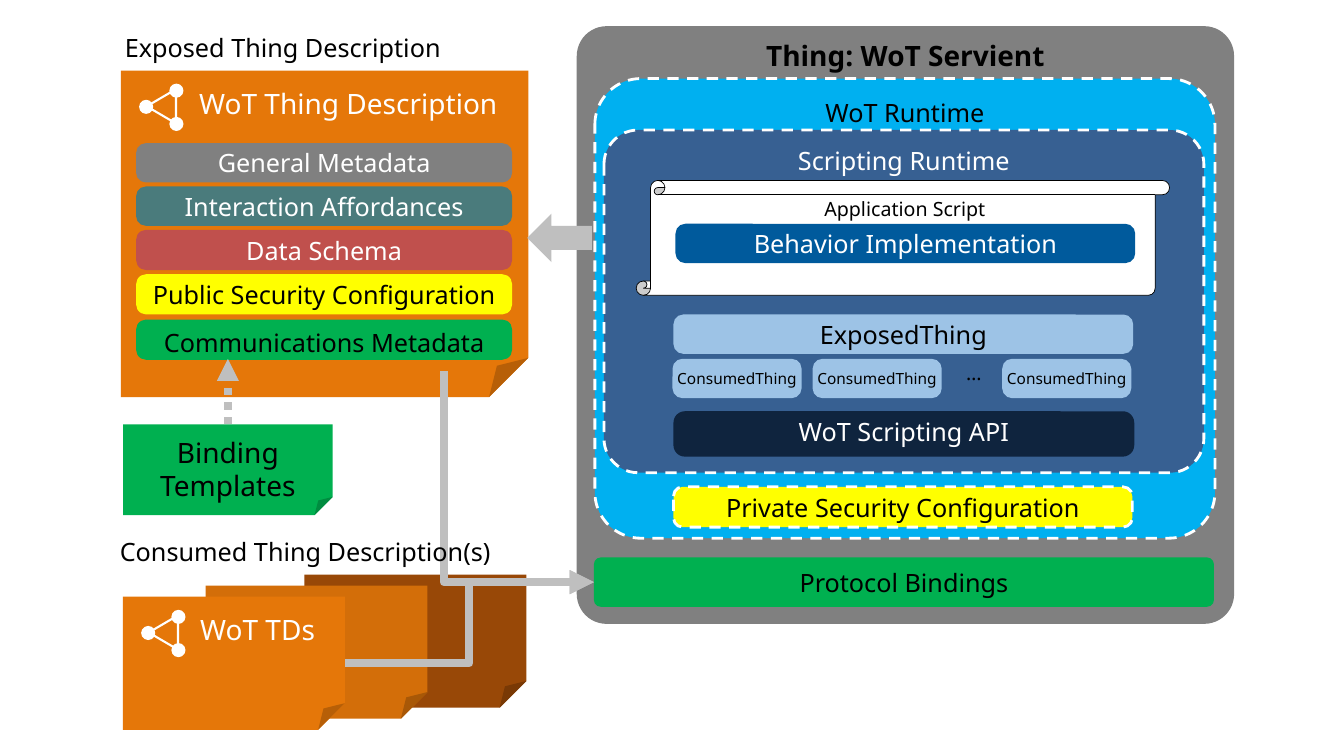
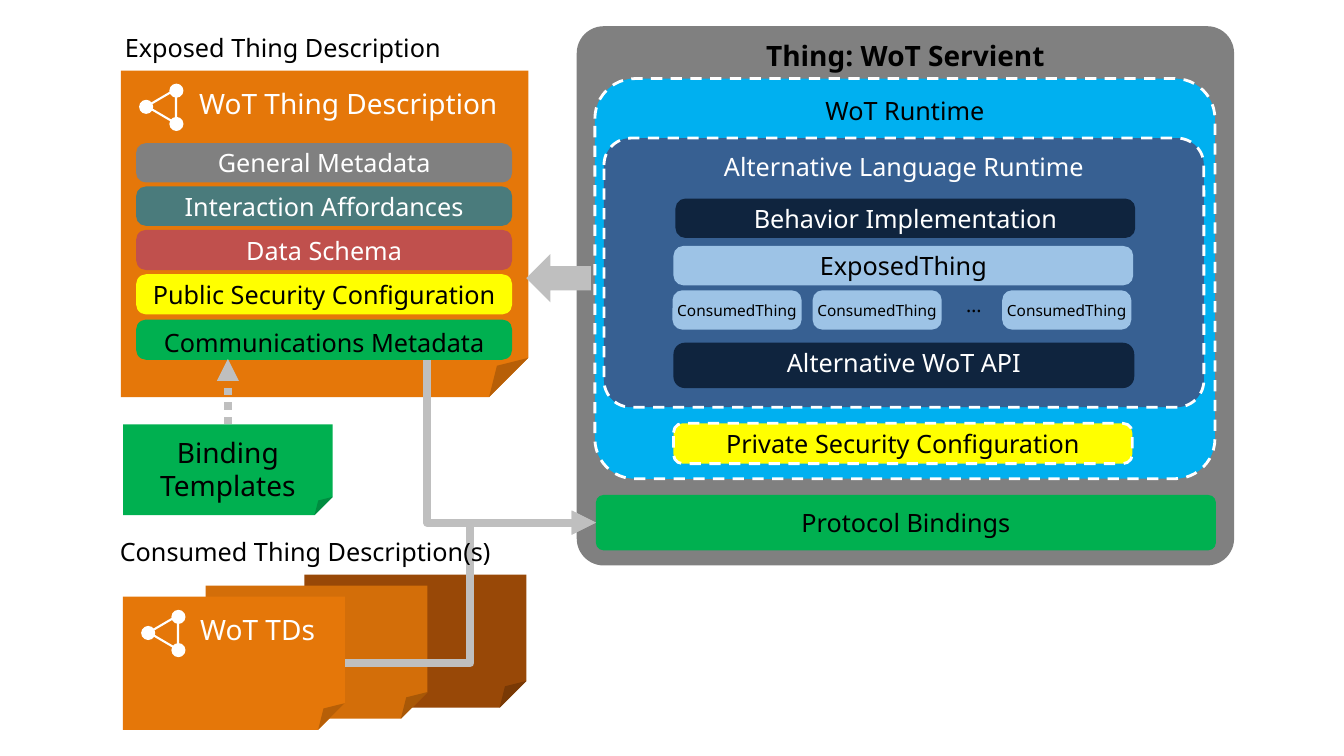
from pptx import Presentation
from pptx.dml.color import RGBColor
from pptx.enum.dml import MSO_LINE
from pptx.enum.shapes import MSO_CONNECTOR, MSO_SHAPE
from pptx.enum.text import MSO_ANCHOR, PP_ALIGN
from pptx.oxml.ns import qn
from pptx.util import Inches, Pt
from lxml import etree

ROUNDED, FOLDED = MSO_SHAPE.ROUNDED_RECTANGLE, MSO_SHAPE.FOLDED_CORNER
OVAL, TRIANGLE = MSO_SHAPE.OVAL, MSO_SHAPE.ISOSCELES_TRIANGLE
LEFT_ARROW, SCROLL = MSO_SHAPE.LEFT_ARROW, MSO_SHAPE.VERTICAL_SCROLL
STRAIGHT, ELBOW = MSO_CONNECTOR.STRAIGHT, MSO_CONNECTOR.ELBOW
DASH, DOTS = MSO_LINE.DASH, MSO_LINE.ROUND_DOT
TOP, MIDDLE = MSO_ANCHOR.TOP, MSO_ANCHOR.MIDDLE
LEFT, CENTER = PP_ALIGN.LEFT, PP_ALIGN.CENTER

BLACK = RGBColor(0x00, 0x00, 0x00)
WHITE = RGBColor(0xFF, 0xFF, 0xFF)
GRAY = RGBColor(0x80, 0x80, 0x80)
SILVER = RGBColor(0xBF, 0xBF, 0xBF)
ORANGE = RGBColor(0xE5, 0x77, 0x09)
DARK_ORANGE = RGBColor(0xD3, 0x6E, 0x09)
BROWN = RGBColor(0x98, 0x48, 0x07)
SKY = RGBColor(0x00, 0xB0, 0xF0)
STEEL = RGBColor(0x37, 0x60, 0x92)
PALE_BLUE = RGBColor(0x9D, 0xC3, 0xE6)
BLUE = RGBColor(0x00, 0x5A, 0x9C)
NAVY = RGBColor(0x0F, 0x24, 0x3E)
GREEN = RGBColor(0x00, 0xB0, 0x50)
YELLOW = RGBColor(0xFF, 0xFF, 0x00)
TEAL = RGBColor(0x4A, 0x7B, 0x7C)
RED = RGBColor(0xC0, 0x50, 0x4D)

FONT = "Noto Sans"
INSETS = (0.1, 0.05, 0.1, 0.05)
TITLE_INSETS = (0.1, 0.04, 0.1, 0.08)
DOCUMENT_INSETS = (0.47, 0.16, 0, 0)
DASHED_WHITE = (WHITE, 2, DASH)

# Label, fill, text colour, offset from the document top, height, anchor
METADATA_BARS = [
    ("General Metadata", GRAY, WHITE, 0.72, 0.39, MIDDLE),
    ("Interaction Affordances", TEAL, WHITE, 1.15, 0.39, MIDDLE),
    ("Data Schema", RED, WHITE, 1.58, 0.4, MIDDLE),
    ("Public Security Configuration", YELLOW, BLACK, 2.02, 0.4, MIDDLE),
    ("Communications Metadata", GREEN, BLACK, 2.47, 0.4, TOP),
]

SCRIPTING = dict(
    servient_height=5.93, runtime_height=4.56,
    language="Scripting Runtime", language_top=1.29, language_height=3.4,
    behavior_top=2.22, behavior_fill=BLUE, script=True,
    things_top=3.12, api="WoT Scripting API",
    security_top=4.83, bindings=(5.89, 5.53, 6.15, 0.49),
    arrow=(5.23, 2.12), metadata_exit=(4.4, 3.68))
ALTERNATIVE = dict(
    servient_height=5.35, runtime_height=3.97,
    language="Alternative Language Runtime", language_top=1.37, language_height=2.67,
    behavior_top=1.97, behavior_fill=NAVY, script=False,
    things_top=2.44, api="Alternative WoT API",
    security_top=4.2, bindings=(5.91, 4.91, 6.15, 0.55),
    arrow=(5.22, 2.52), metadata_exit=(4.24, 3.57))


def write(shape, text, size=18, color=BLACK, bold=False, align=CENTER,
          anchor=MIDDLE, insets=INSETS, wrap=False):
    frame = shape.text_frame
    margins = ("margin_left", "margin_top", "margin_right", "margin_bottom")
    values = dict(zip(margins, map(Inches, insets)), word_wrap=wrap, vertical_anchor=anchor)
    for name, value in values.items():
        setattr(frame, name, value)
    paragraph = frame.paragraphs[0]
    paragraph.text = text
    paragraph.alignment = align
    for run in paragraph.runs:
        for name, value in dict(name=FONT, size=Pt(size), bold=bold).items():
            setattr(run.font, name, value)
        run.font.color.rgb = color


def add_label(slide, box, text, **style):
    write(slide.shapes.add_textbox(*map(Inches, box)), text, **style)


def style_line(line, color, width, dash=None):
    line.color.rgb = color
    line.width = Pt(width)
    if dash is not None:
        line.dash_style = dash


def set_corner(shape, ratio):
    """Corner size as a share of the short side, also for folded corners."""
    guides = shape._element.spPr.find(qn("a:prstGeom")).find(qn("a:avLst"))
    for guide in list(guides):
        guides.remove(guide)
    etree.SubElement(guides, qn("a:gd"), name="adj", fmla=f"val {round(ratio * 100000)}")


def add_block(slide, kind, box, fill=None, text=None, corner=None, line=None, **style):
    shape = slide.shapes.add_shape(kind, *map(Inches, box))
    shape.shadow.inherit = False
    if corner is not None:
        set_corner(shape, corner)
    if fill is None:
        shape.fill.background()
    else:
        shape.fill.solid()
        shape.fill.fore_color.rgb = fill
    if line:
        style_line(shape.line, *line)
    else:
        shape.line.fill.background()
    if text:
        write(shape, text, **style)
    return shape


def add_bar(slide, box, fill, text, corner=0.25, **style):
    return add_block(slide, ROUNDED, box, fill, text, corner, **style)


def add_arrow(slide, kind, start, end, width=5.75, dash=None):
    connector = slide.shapes.add_connector(kind, *map(Inches, (*start, *end)))
    style_line(connector.line, SILVER, width, dash)
    properties = connector._element.spPr
    etree.SubElement(properties.find(qn("a:ln")), qn("a:tailEnd"), type="triangle")
    etree.SubElement(properties, qn("a:effectLst"))
    return connector


def add_corner_arrow(slide, start, end):
    """Arrow that runs down from start, then right to end."""
    width, height = end[0] - start[0], end[1] - start[1]
    left = (start[0] + end[0] - height) / 2
    top = (start[1] + end[1] - width) / 2
    connector = add_arrow(slide, ELBOW, (left + height, top), (left, top + width))
    properties = connector._element.spPr
    properties.find(qn("a:prstGeom")).set("prst", "bentConnector2")
    properties.find(qn("a:xfrm")).set("rot", str(270 * 60000))


def add_graph_icon(slide, left, top):
    triangle = add_block(slide, TRIANGLE, (left + 0.05, top + 0.08, 0.34, 0.29),
                         line=(WHITE, 1.5))
    triangle.rotation = 270
    for x, y in ((0.3, 0), (0, 0.16), (0.3, 0.33)):
        add_block(slide, OVAL, (left + x, top + y, 0.14, 0.14), WHITE)


def add_document(slide, box, text, corner):
    left, top = box[:2]
    add_block(slide, FOLDED, box, ORANGE, text, corner, size=20, color=WHITE,
              anchor=TOP, insets=DOCUMENT_INSETS)
    add_graph_icon(slide, left + 0.18, top + 0.13)


def add_exposed_description(slide, left, top):
    add_document(slide, (left, top, 4.04, 3.24), "WoT Thing Description", 0.12)
    for text, fill, color, offset, height, anchor in METADATA_BARS:
        add_bar(slide, (left + 0.15, top + offset, 3.73, height), fill, text,
                color=color, anchor=anchor)
    add_label(slide, (left - 0.06, top - 0.43, 3.36, 0.4),
              "Exposed Thing Description", align=LEFT, anchor=TOP)


def add_binding_templates(slide, left, top):
    add_block(slide, FOLDED, (left, top, 2.08, 0.9), GREEN, "Binding\nTemplates", 0.2,
              size=20, insets=(0, 0.16, 0, 0))
    center = left + 1.04
    add_arrow(slide, STRAIGHT, (center, top), (center, top - 0.65), 5.25, DOTS)


def add_consumed_descriptions(slide, left, top):
    for x, y, fill in ((1.8, 0.22, BROWN), (0.82, 0.11, DARK_ORANGE)):
        add_block(slide, FOLDED, (left + x, top - y, 2.2, 1.32), fill, corner=0.2)
    add_document(slide, (left, top, 2.2, 1.32), "WoT TDs", 0.2)


def add_things(slide, left, top, api):
    """ExposedThing, the row of ConsumedThings and the API below them."""
    add_bar(slide, (left, top, 4.56, 0.39), PALE_BLUE, "ExposedThing")
    for offset in (0, 1.39, 3.27):
        add_bar(slide, (left - 0.01 + offset, top + 0.44, 1.28, 0.39), PALE_BLUE,
                "ConsumedThing", size=11)
    add_label(slide, (left + 2.76, top + 0.39, 0.44, 0.42), "…", size=14,
              insets=TITLE_INSETS)
    add_bar(slide, (left, top + 0.96, 4.57, 0.45), NAVY, api, color=WHITE,
            insets=(0.1, 0.05, 0.1, 0.1))


def add_script(slide, left, top):
    add_block(slide, SCROLL, (left, top, 5.29, 1.14), WHITE, line=(BLACK, 0.5))
    add_label(slide, (left + 1.76, top + 0.11, 1.81, 0.34), "Application Script",
              size=14, anchor=TOP)


def add_servient(slide, left, top, variant):
    add_bar(slide, (left, top, 6.52, variant["servient_height"]), GRAY,
            "Thing: WoT Servient", 0.05, size=20, bold=True, anchor=TOP,
            insets=TITLE_INSETS)
    add_bar(slide, (left + 0.18, top + 0.52, 6.15, variant["runtime_height"]), SKY,
            "WoT Runtime", 0.1, line=DASHED_WHITE, anchor=TOP, wrap=True)
    add_bar(slide, (left + 0.27, variant["language_top"], 5.95, variant["language_height"]),
            STEEL, variant["language"], 0.1, line=DASHED_WHITE, color=WHITE,
            anchor=TOP, wrap=True)
    if variant["script"]:
        add_script(slide, left + 0.59, variant["language_top"] + 0.5)
    inner = left + 0.96
    add_bar(slide, (inner + 0.02, variant["behavior_top"], 4.56, 0.39),
            variant["behavior_fill"], "Behavior Implementation", color=WHITE)
    add_things(slide, inner, variant["things_top"], variant["api"])
    add_bar(slide, (inner, variant["security_top"], 4.55, 0.4), YELLOW,
            "Private Security Configuration", 0.23, line=DASHED_WHITE)
    add_bar(slide, variant["bindings"], GREEN, "Protocol Bindings", 0.14)


def add_flows(slide, variant):
    left, top, _, height = variant["bindings"]
    target = (left, top + height / 2)
    add_block(slide, LEFT_ARROW, (*variant["arrow"], 0.64, 0.48), SILVER)
    add_arrow(slide, ELBOW, (3.42, 6.58), target)
    add_corner_arrow(slide, variant["metadata_exit"], target)


def add_architecture_slide(presentation, variant):
    slide = presentation.slides.add_slide(presentation.slide_layouts[6])
    add_servient(slide, 5.72, 0.26, variant)
    add_exposed_description(slide, 1.2, 0.7)
    add_binding_templates(slide, 1.22, 4.21)
    add_consumed_descriptions(slide, 1.22, 5.92)
    add_flows(slide, variant)
    add_label(slide, (1.09, 5.27, 3.91, 0.4), "Consumed Thing Description(s)",
              align=LEFT, anchor=TOP)


def main():
    presentation = Presentation()
    presentation.slide_width = Inches(13.33)
    presentation.slide_height = Inches(7.5)
    for variant in (SCRIPTING, ALTERNATIVE):
        add_architecture_slide(presentation, variant)
    presentation.save("out.pptx")


if __name__ == "__main__":
    main()
